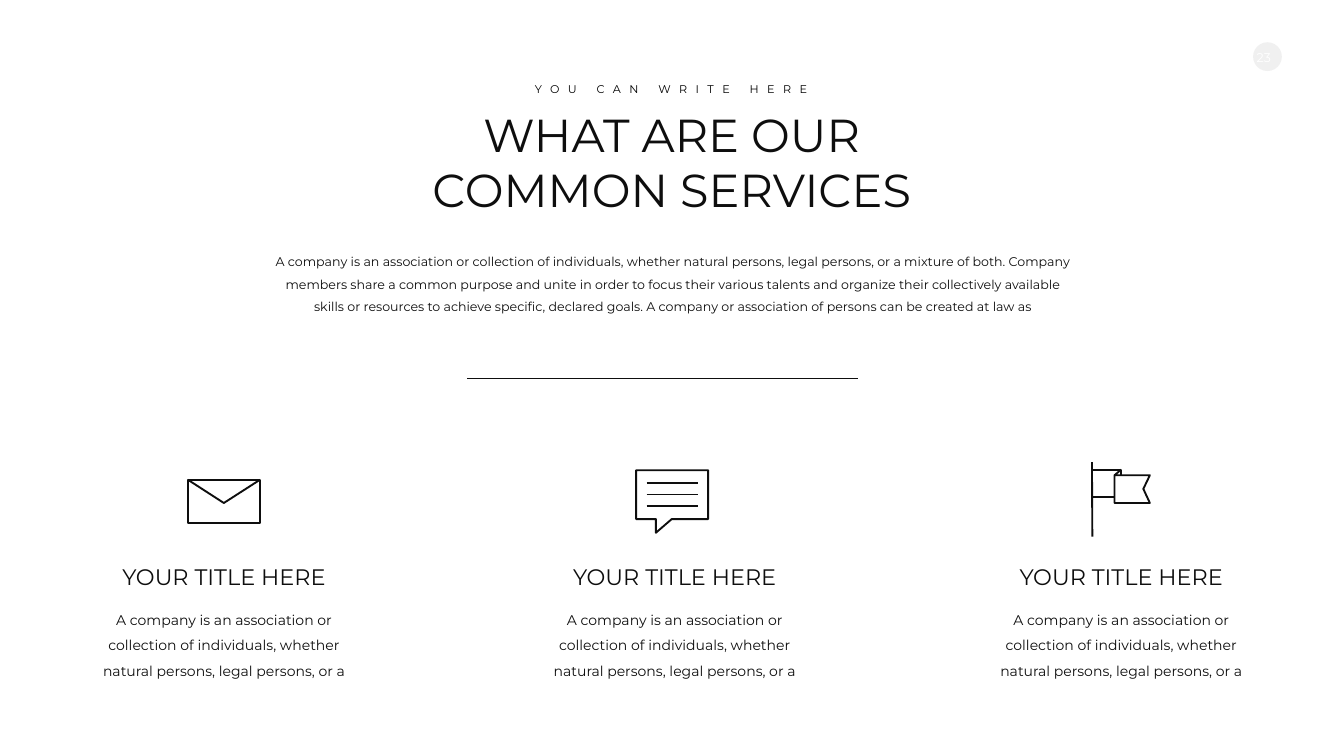
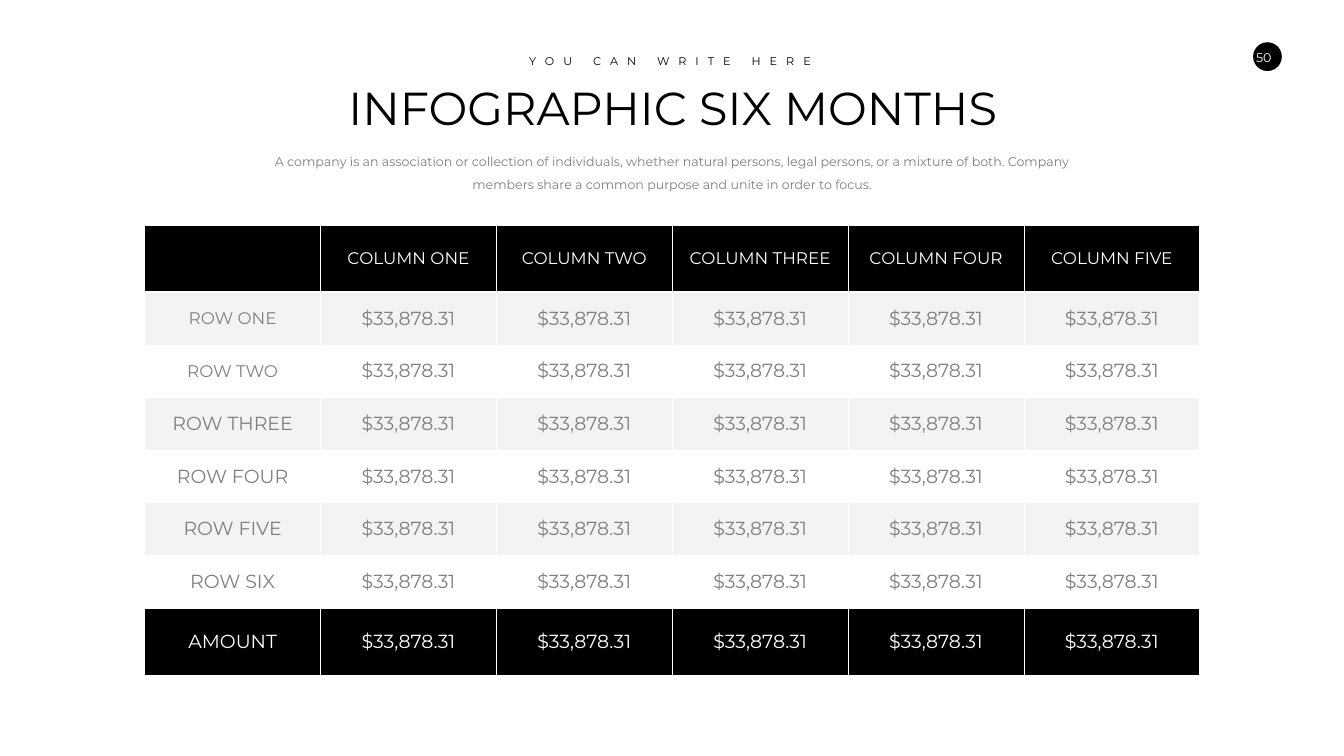
from lxml.etree import SubElement
from pptx import Presentation
from pptx.dml.color import RGBColor
from pptx.enum.shapes import MSO_CONNECTOR, MSO_SHAPE
from pptx.enum.text import MSO_ANCHOR, PP_ALIGN
from pptx.oxml.ns import qn
from pptx.util import Cm, Pt

FONT = "Montserrat"
BLACK = RGBColor(0x00, 0x00, 0x00)
INK = RGBColor(0x0E, 0x0E, 0x0E)
GREY = RGBColor(0x7F, 0x7F, 0x7F)
PALE = RGBColor(0xF3, 0xF3, 0xF3)
WHITE = RGBColor(0xFF, 0xFF, 0xFF)

SLIDE_WIDTH, SLIDE_HEIGHT = 67.72, 38.1  # all content lengths are in cm
KICKER = "YOU CAN WRITE HERE"

# Each heading part: text, box (left, top, width, height)
SERVICES_HEADING = {
    "title": (["WHAT ARE OUR", "COMMON SERVICES"], (19.61, 5.21, 28.47, 5.89)),
    "kicker": (KICKER, (26.29, 4.01, 15.06, 0.94)),
    "intro": (
        "A company is an association or collection of individuals, whether natural "
        "persons, legal persons, or a mixture of both. Company members share a common "
        "purpose and unite in order to focus their various talents and organize their "
        "collectively available skills or resources to achieve specific, declared "
        "goals. A company or association of persons can be created at law as",
        (13.41, 12.29, 41, 3.56)),
}
MONTHS_HEADING = {
    "title": ("INFOGRAPHIC SIX MONTHS", (15.06, 3.86, 37.67, 3.07)),
    "kicker": (KICKER, (25.07, 2.59, 17.4, 0.94)),
    "intro": (
        "A company is an association or collection of individuals, whether natural "
        "persons, legal persons, or a mixture of both. Company members share a common "
        "purpose and unite in order to focus.",
        (13.51, 7.26, 40.72, 2.57)),
}

# Icon strokes are point lists measured from the icon's origin
ENVELOPE = [
    [(3.63, 2.18), (0, 2.18), (0, 0), (3.63, 0), (3.63, 2.18)],
    [(0, 0), (1.81, 1.17), (3.63, 0)],
]
SPEECH_BUBBLE = [[(0.53, y), (3.1, y)] for y in (0.64, 1.22, 1.8)] + [
    [(1.8, 2.46), (3.63, 2.46), (3.63, 0), (0, 0), (0, 2.46), (1, 2.46),
     (1, 3.15), (1.8, 2.46)],
]
FLAG = [
    [(0, 0), (0.02, 3.76)],
    [(1.47, 0.38), (1.14, 0.66), (1.14, 2.06), (2.92, 2.06), (2.59, 1.35),
     (2.92, 0.66), (1.14, 0.66)],
    [(1.14, 1.75), (0, 1.75), (0, 0.38), (1.47, 0.38), (1.47, 0.66)],
]
SERVICE_TITLE = "YOUR TITLE HERE"
SERVICE_TEXT = ("A company is an association or collection of individuals, whether "
                "natural persons, legal persons, or a")
# Centre of the column, icon strokes, icon origin
SERVICES = [
    (11.29, ENVELOPE, (9.47, 24.18)),
    (34, SPEECH_BUBBLE, (32.05, 23.7)),
    (56.5, FLAG, (55.02, 23.29)),
]

COLUMNS = ["", "COLUMN ONE", "COLUMN TWO", "COLUMN THREE", "COLUMN FOUR", "COLUMN FIVE"]
ROWS = ["ROW ONE", "ROW TWO", "ROW THREE", "ROW FOUR", "ROW FIVE", "ROW SIX", "AMOUNT"]
SMALL_LABELS = COLUMNS + ROWS[:2]
AMOUNT = "$33,878.31"
TABLE_LEFT, TABLE_TOP, COLUMN_WIDTH = 7.29, 11.33, 8.86
END_ROW_HEIGHT, ROW_HEIGHT = 3.4, 2.65


def write(frame, text, size=18, color=INK, line_spacing=None, letter_spacing=None):
    """Fill a text frame with centred text; a list gives one paragraph an item."""
    lines = [text] if isinstance(text, str) else text
    for index, line in enumerate(lines):
        paragraph = frame.add_paragraph() if index else frame.paragraphs[0]
        paragraph.alignment = PP_ALIGN.CENTER
        if line_spacing:
            paragraph.line_spacing = line_spacing
        run = paragraph.add_run()
        run.text = line
        run.font.name, run.font.size, run.font.bold = FONT, Pt(size), False
        run.font.color.rgb = color
        if letter_spacing:
            run.font._element.set("spc", str(round(letter_spacing * 100)))


def add_text(slide, text, box, wrap=True, **text_format):
    frame = slide.shapes.add_textbox(*map(Cm, box)).text_frame
    frame.word_wrap = wrap
    write(frame, text, **text_format)


def add_filled(slide, kind, box, color):
    shape = slide.shapes.add_shape(kind, *map(Cm, box))
    shape.shadow.inherit = False
    shape.fill.solid()
    shape.fill.fore_color.rgb = color
    shape.line.fill.background()
    return shape


def add_line(shapes, start, end, width):
    line = shapes.add_connector(MSO_CONNECTOR.STRAIGHT, *map(Cm, start + end))
    line.line.color.rgb = INK
    line.line.width = Pt(width)
    SubElement(line._element.spPr, qn("a:effectLst"))


def add_page_number(slide, number):
    add_filled(slide, MSO_SHAPE.OVAL, (63.14, 2.13, 1.45, 1.45), BLACK)
    add_text(slide, number, (62.59, 2.38, 2.18, 1.02), wrap=False, color=WHITE)


def add_heading(slide, heading, title_color, intro_color, letter_spacing):
    add_text(slide, *heading["title"], size=66, color=title_color)
    add_text(slide, *heading["kicker"], size=16, color=BLACK,
             letter_spacing=letter_spacing)
    add_text(slide, *heading["intro"], color=intro_color, line_spacing=1.5)


def add_icon(slide, strokes, origin):
    group = slide.shapes.add_group_shape()
    for stroke in strokes:
        points = [(origin[0] + x, origin[1] + y) for x, y in stroke]
        if len(points) == 2:
            add_line(group.shapes, *points, 2.7)
            continue
        corners = [(Cm(x), Cm(y)) for x, y in points]
        builder = group.shapes.build_freeform(*corners[0])
        builder.add_line_segments(corners[1:], close=False)
        outline = builder.convert_to_shape()
        outline.shadow.inherit = False
        outline.fill.background()
        outline.line.color.rgb = INK
        outline.line.width = Pt(2.7)


def set_borders(cell, **widths):
    """Draw white borders, 1 pt unless a side (L, R, T, B) has its own width."""
    properties = cell._tc.get_or_add_tcPr()
    for side in "LRTB":
        border = SubElement(properties, qn(f"a:ln{side}"), w=str(Pt(widths.get(side, 1))))
        fill = SubElement(border, qn("a:solidFill"))
        SubElement(fill, qn("a:srgbClr"), val=str(WHITE))


def add_amounts_table(slide):
    grid = [COLUMNS] + [[label] + [AMOUNT] * (len(COLUMNS) - 1) for label in ROWS]
    last = len(grid) - 1
    heights = [END_ROW_HEIGHT if row in (0, last) else ROW_HEIGHT
               for row in range(len(grid))]
    table = slide.shapes.add_table(
        len(grid), len(COLUMNS), Cm(TABLE_LEFT), Cm(TABLE_TOP),
        Cm(COLUMN_WIDTH * len(COLUMNS)), Cm(sum(heights))).table
    table.first_row = table.horz_banding = False
    for column in table.columns:
        column.width = Cm(COLUMN_WIDTH)
    for row, texts in enumerate(grid):
        table.rows[row].height = Cm(heights[row])
        is_end = row in (0, last)
        fill_color = BLACK if is_end else PALE if row % 2 else WHITE
        thick = {0: {"B": 3}, 1: {"T": 3}, last - 1: {"B": 3}, last: {"T": 3}}
        for column, text in enumerate(texts):
            cell = table.cell(row, column)
            cell.vertical_anchor = MSO_ANCHOR.MIDDLE
            cell.margin_left = cell.margin_right = Cm(0.13)
            cell.margin_top = cell.margin_bottom = Cm(0.13)
            set_borders(cell, **thick.get(row, {}))
            cell.fill.solid()
            cell.fill.fore_color.rgb = fill_color
            if text:
                write(cell.text_frame, text, size=24 if text in SMALL_LABELS else 27,
                      color=WHITE if is_end else GREY)


def build_services(slide):
    add_page_number(slide, "23")
    veil = add_filled(slide, MSO_SHAPE.RECTANGLE, (0, 0, SLIDE_WIDTH, SLIDE_HEIGHT), WHITE)
    color = veil._element.spPr.find(qn("a:solidFill"))[0]
    SubElement(color, qn("a:alpha"), val="94000")
    add_heading(slide, SERVICES_HEADING, INK, INK, letter_spacing=12.1)
    for center, strokes, origin in SERVICES:
        add_icon(slide, strokes, origin)
        add_text(slide, SERVICE_TEXT, (center - 6.67, 30.28, 13.34, 3.91), size=20,
                 line_spacing=1.5)
        add_text(slide, SERVICE_TITLE, (center - 6.95, 28.24, 13.9, 1.63), size=32)
    add_line(slide.shapes, (23.55, 19.05), (43.23, 19.05), 0.75)


def build_months(slide):
    add_page_number(slide, "50")
    add_amounts_table(slide)
    add_heading(slide, MONTHS_HEADING, BLACK, GREY, letter_spacing=12.9)


def main():
    presentation = Presentation()
    presentation.slide_width = Cm(SLIDE_WIDTH)
    presentation.slide_height = Cm(SLIDE_HEIGHT)
    for build in (build_services, build_months):
        build(presentation.slides.add_slide(presentation.slide_layouts[6]))
    presentation.save("out.pptx")


if __name__ == "__main__":
    main()
